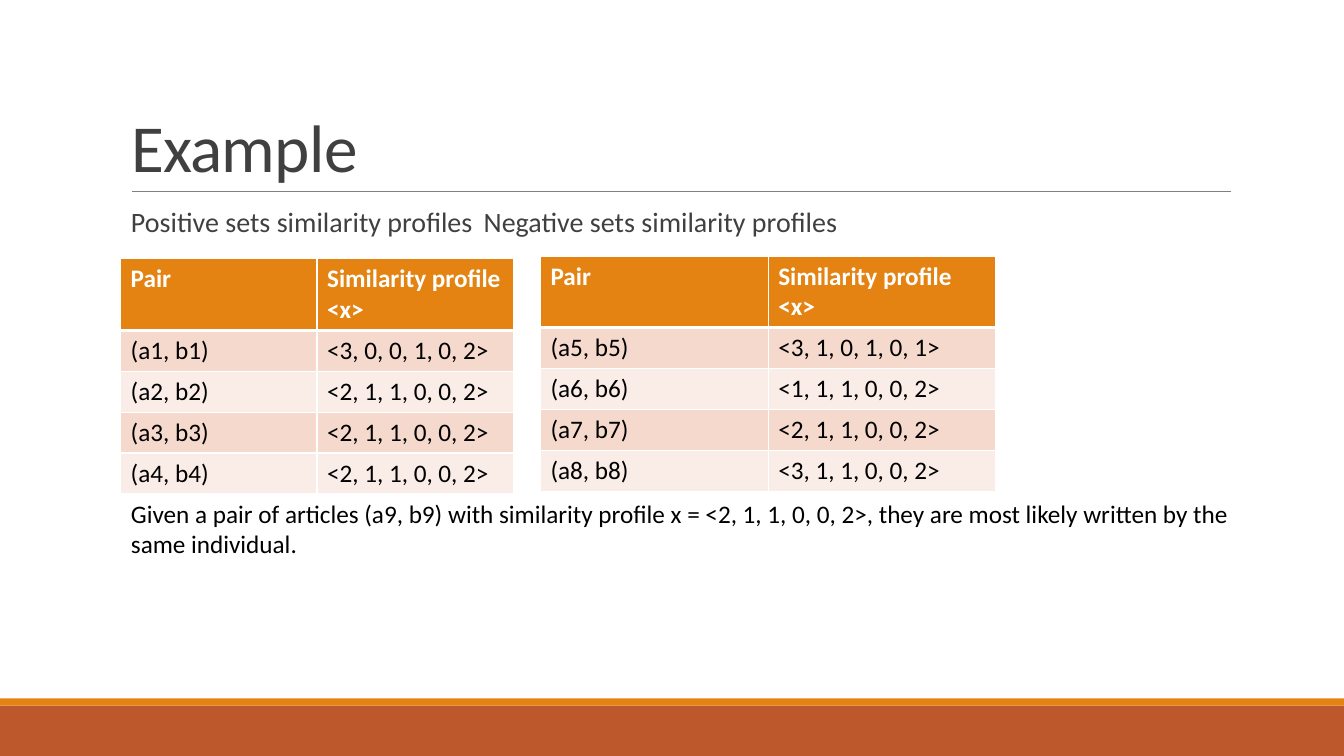
from lxml import etree
from pptx import Presentation
from pptx import util as u
from pptx.dml.color import RGBColor
from pptx.enum import shapes, text
from pptx.oxml.ns import qn

ORANGE, RUST, GREY, DARK = "E48312", "BD582C", "808080", "404040"
WHITE, BLACK = "FFFFFF", "000000"
BANDS = ("F5D9CC", "FAEDE7")


def colour(hex_string):
    return RGBColor.from_string(hex_string)


class SlideBuilder:
    font = "Calibri"

    def __init__(self, slide):
        self.slide = slide

    def place(self, shape, left, top, width, height):
        shape.left, shape.top = u.Cm(left), u.Cm(top)
        shape.width, shape.height = u.Cm(width), u.Cm(height)

    def run(self, paragraph, words, size, ink, bold=False):
        run = paragraph.add_run()
        run.text = words
        run.font.name, run.font.size, run.font.bold = self.font, u.Pt(size), bold
        run.font.color.rgb = colour(ink)
        return run

    def bar(self, top, height, fill):
        shape = self.slide.shapes.add_shape(
            shapes.MSO_SHAPE.RECTANGLE, 0, u.Cm(top), u.Cm(33.87), u.Cm(height))
        shape.shadow.inherit = False
        shape.fill.solid()
        shape.fill.fore_color.rgb = colour(fill)
        shape.line.fill.background()

    def rule(self, left, right, y):
        line = self.slide.shapes.add_connector(
            shapes.MSO_CONNECTOR.STRAIGHT, u.Cm(left), u.Cm(y), u.Cm(right), u.Cm(y))
        line.line.color.rgb = colour(GREY)
        line.line.width = u.Pt(0.5)
        etree.SubElement(line._element.spPr, qn("a:effectLst"))

    def title(self, words, *box):
        shape = self.slide.shapes.title
        self.place(shape, *box)
        frame = shape.text_frame
        frame.auto_size = text.MSO_AUTO_SIZE.NONE
        frame.vertical_anchor = text.MSO_ANCHOR.BOTTOM
        paragraph = frame.paragraphs[0]
        paragraph.alignment = text.PP_ALIGN.LEFT
        paragraph.line_spacing = 0.85
        run = self.run(paragraph, words, 48, DARK)
        run.font._element.set("spc", "-50")

    def headings(self, words, tab, *box):
        """Table headings on one line, parted by a tab stop."""
        shape = self.slide.placeholders[1]
        self.place(shape, *box)
        frame = shape.text_frame
        frame.auto_size = text.MSO_AUTO_SIZE.NONE
        frame.margin_left = frame.margin_right = 0
        paragraph = frame.paragraphs[0]
        paragraph.line_spacing = 0.9
        paragraph.space_before, paragraph.space_after = u.Pt(12), u.Pt(2)
        properties = paragraph._p.get_or_add_pPr()
        properties.set("marL", str(u.Cm(0.25)))
        properties.set("indent", "0")
        etree.SubElement(properties, qn("a:buNone"))
        stops = etree.SubElement(properties, qn("a:tabLst"))
        etree.SubElement(stops, qn("a:tab"), pos=str(u.Cm(tab)), algn="l")
        self.run(paragraph, "\t".join(words), 20, DARK)

    def borders(self, cell, top, bottom):
        properties = cell._tc.get_or_add_tcPr()
        sides = (("L", 1), ("R", 1), ("T", top), ("B", bottom))
        for index, (side, width) in enumerate(sides):
            line = etree.Element(qn("a:ln" + side), w=str(u.Pt(width)))
            fill = etree.SubElement(line, qn("a:solidFill"))
            etree.SubElement(fill, qn("a:srgbClr"), val=WHITE)
            properties.insert(index, line)

    def table(self, rows, left, top, width):
        heights = [1.78] + [1.03] * (len(rows) - 1)
        table = self.slide.shapes.add_table(
            len(rows), len(rows[0]), u.Cm(left), u.Cm(top),
            u.Cm(width), u.Cm(sum(heights))).table
        for r, values in enumerate(rows):
            table.rows[r].height = u.Cm(heights[r])
            header = r == 0
            for c, value in enumerate(values):
                cell = table.cell(r, c)
                cell.fill.solid()
                cell.fill.fore_color.rgb = colour(ORANGE if header else BANDS[(r - 1) % 2])
                self.borders(cell, 3 if r == 1 else 1, 3 if header else 1)
                self.run(cell.text_frame.paragraphs[0], value, 18,
                         WHITE if header else BLACK, header)

    def note(self, words, left, top, width, height):
        box = self.slide.shapes.add_textbox(
            u.Cm(left), u.Cm(top), u.Cm(width), u.Cm(height))
        box.text_frame.word_wrap = True
        self.run(box.text_frame.paragraphs[0], words, 18, BLACK)


def profile_rows(first, profiles):
    pairs = [(f"(a{n}, b{n})", f"<{profile}>") for n, profile in enumerate(profiles, first)]
    return [("Pair", "Similarity profile <x>")] + pairs


def main():
    presentation = Presentation()
    presentation.slide_width, presentation.slide_height = u.Cm(33.87), u.Cm(19.05)
    slide = presentation.slides.add_slide(presentation.slide_layouts[1])
    builder = SlideBuilder(slide)

    # Footer bars and title rule
    builder.bar(17.78, 1.27, RUST)
    builder.bar(17.6, 0.18, ORANGE)
    builder.rule(3.33, 31.01, 4.83)

    # Title and table headings
    builder.title("Example", 3.05, 0.79, 27.94, 4.04)
    builder.headings(("Positive sets similarity profiles", "Negative sets similarity profiles"),
                     10.64, 3.05, 5.13, 27.94, 11.18)

    # Similarity tables
    positive = ("3, 0, 0, 1, 0, 2", "2, 1, 1, 0, 0, 2", "2, 1, 1, 0, 0, 2", "2, 1, 1, 0, 0, 2")
    negative = ("3, 1, 0, 1, 0, 1", "1, 1, 1, 0, 0, 2", "2, 1, 1, 0, 0, 2", "3, 1, 1, 0, 0, 2")
    builder.table(profile_rows(1, positive), 3.04, 6.52, 9.9)
    builder.table(profile_rows(5, negative), 13.62, 6.45, 11.48)

    # Conclusion
    builder.note("Given a pair of articles (a9, b9) with similarity profile "
                 "x = <2, 1, 1, 0, 0, 2>, they are most likely written by the same individual.",
                 3.05, 12.42, 29.29, 1.8)

    presentation.save("out.pptx")


if __name__ == "__main__":
    main()
